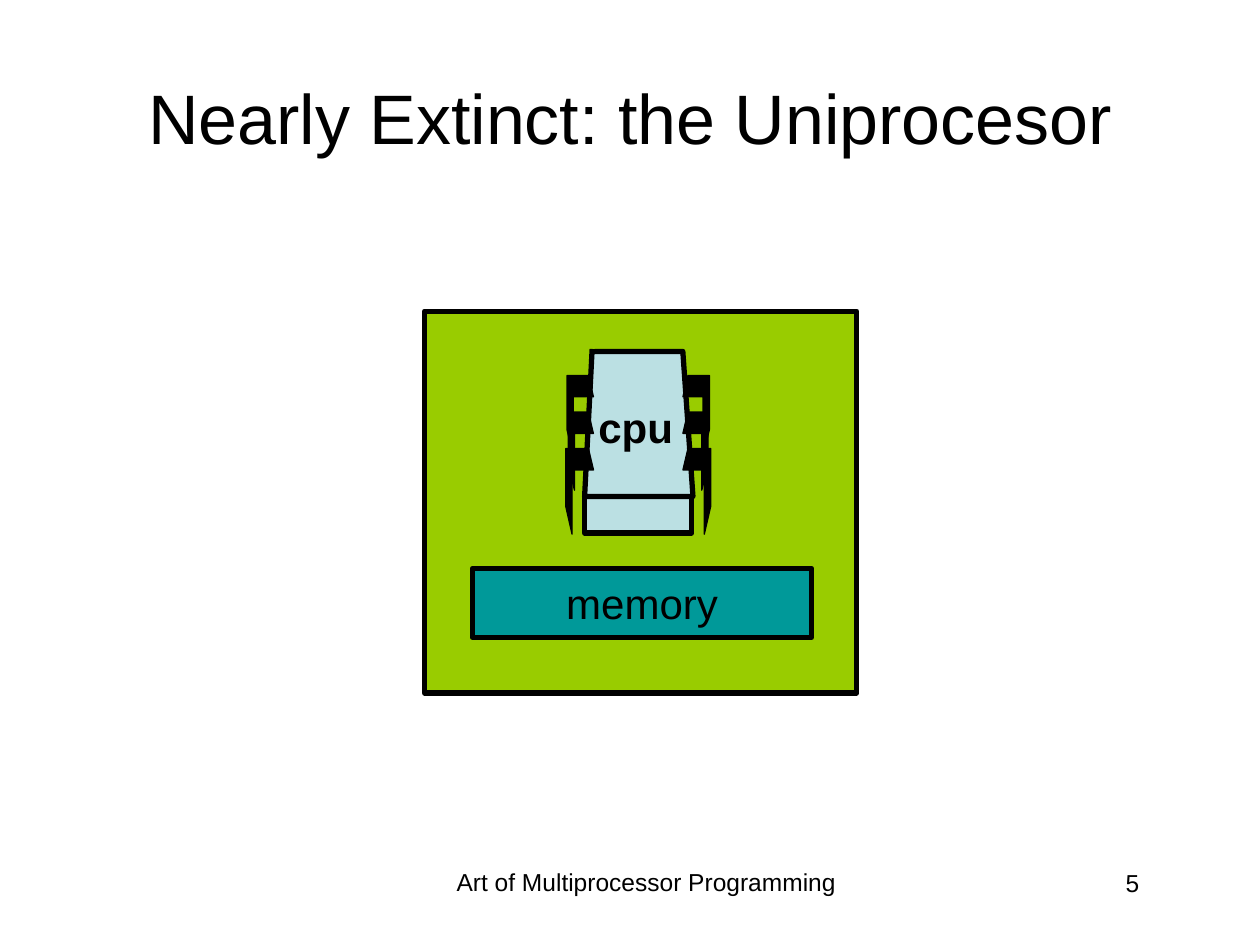
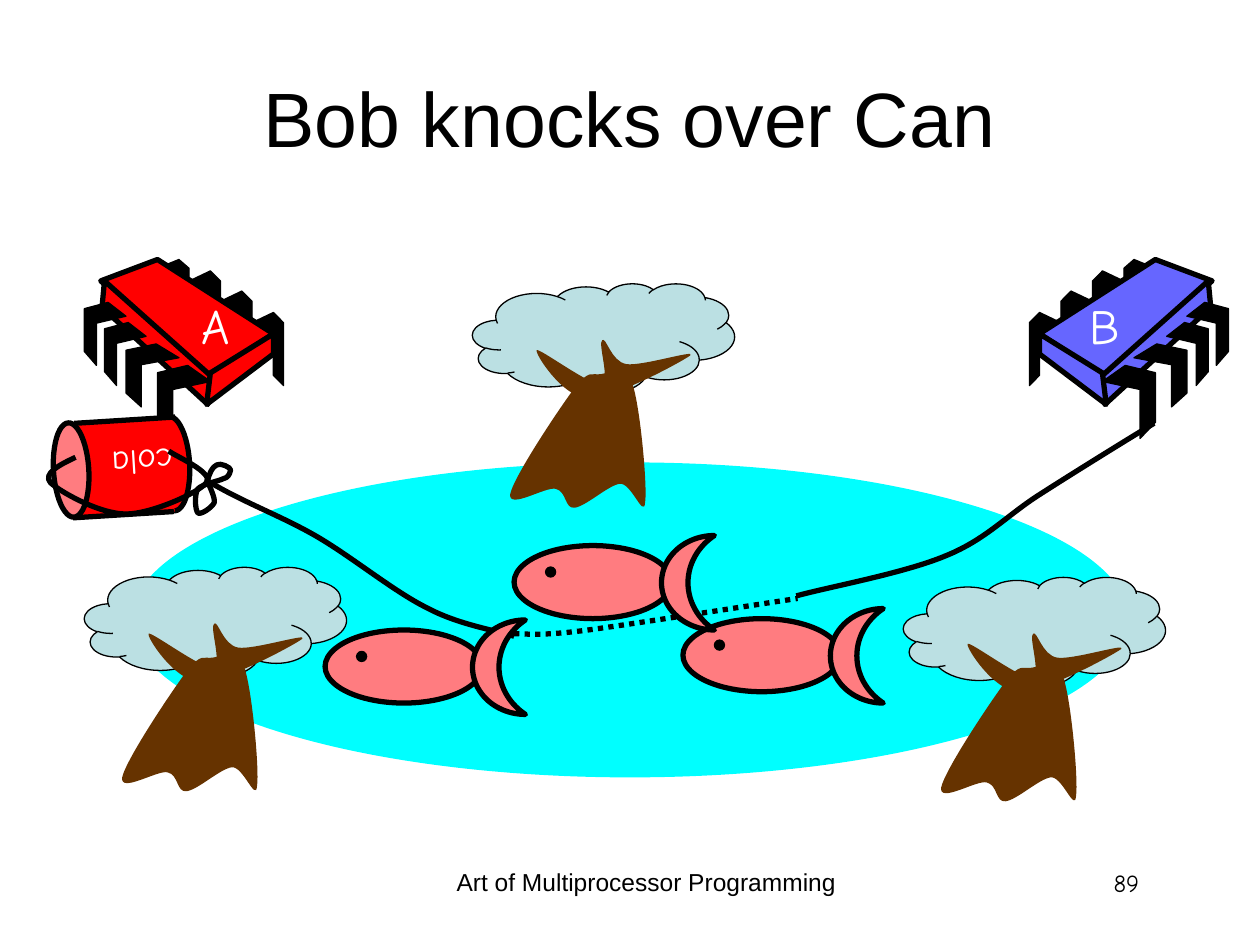
from dataclasses import dataclass

from lxml import etree
from pptx import Presentation
from pptx.dml.color import RGBColor
from pptx.enum.dml import MSO_LINE
from pptx.enum.shapes import MSO_CONNECTOR, MSO_SHAPE
from pptx.enum.text import MSO_ANCHOR, MSO_AUTO_SIZE, PP_ALIGN
from pptx.oxml.ns import qn
from pptx.util import Inches, Pt

RECT, ELLIPSE, MOON = MSO_SHAPE.RECTANGLE, MSO_SHAPE.OVAL, MSO_SHAPE.MOON
CLOUD = MSO_SHAPE.CLOUD_CALLOUT
STRAIGHT = MSO_CONNECTOR.STRAIGHT
DOTTED = MSO_LINE.ROUND_DOT
LEFT, CENTER, RIGHT = PP_ALIGN.LEFT, PP_ALIGN.CENTER, PP_ALIGN.RIGHT
TOP, MIDDLE = MSO_ANCHOR.TOP, MSO_ANCHOR.MIDDLE
FIT_SHAPE, NO_FIT = MSO_AUTO_SIZE.SHAPE_TO_FIT_TEXT, MSO_AUTO_SIZE.NONE
TITLE_ONLY = 5


@dataclass(frozen=True)
class Theme:
    black: str = "000000"
    white: str = "FFFFFF"
    board: str = "99CC00"
    memory: str = "009999"
    pale: str = "BBE0E3"
    red: str = "FF0000"
    blue: str = "6666FF"
    pink: str = "FF7C80"
    water: str = "00FFFF"
    wood: str = "663300"
    font: str = "Arial"
    hand: str = "Comic Neue"
    title: int = 40
    big_title: int = 44
    letter: int = 28
    label: int = 24
    small: int = 20
    footer: int = 14
    thick: float = 3
    thin: float = 0.75


T = Theme()

# Outlines drawn in a unit box
BACK_LEG = [(0, 0.14), (0.68, 0), (1, 0.14), (1, 1), (0.68, 0.86), (0.68, 0.29), (0, 0.43)]
FRONT_LEG = [(0.57, 0), (1, 0.22), (0.29, 0.33), (0.29, 1), (0, 0.78), (0, 0.1)]

# Leg boxes and body faces in inches from the chip's corner
BACK_LEGS = [(1.33, 0.42, 0.25, 0.58), (1.08, 0.25, 0.25, 0.58),
             (0.83, 0.09, 0.25, 0.58), (0.58, 0, 0.25, 0.5)]
FRONT_LEGS = [(0.58, 0.84, 0.42, 0.58), (0.33, 0.67, 0.42, 0.5),
              (0.16, 0.5, 0.33, 0.5), (0, 0.34, 0.33, 0.5)]
CHIP_FACES = [
    [(0.58, 0), (1.5, 0.59), (0.98, 0.93), (0.13, 0.17)],
    [(0.16, 0.17), (1, 0.92), (0.98, 1.15), (0.14, 0.38)],
    [(1.5, 0.59), (1.5, 0.75), (0.97, 1.15), (1, 0.9)],
]

# Curves: a start, then two handles and an end for each piece
TRUNK = [
    (0.81, 0.83), (0.93, 0.68), (0.94, 0.73), (1.02, 0.72),
    (1.09, 0.71), (1.21, 0.63), (1.27, 0.8), (1.33, 0.97), (1.39, 1.61), (1.37, 1.74),
    (1.36, 1.87), (1.26, 1.58), (1.17, 1.59), (1.08, 1.6), (0.9, 1.77), (0.81, 1.78),
    (0.73, 1.79), (0.75, 1.65), (0.66, 1.63), (0.58, 1.61), (0.28, 1.8), (0.3, 1.67),
    (0.33, 1.53), (0.69, 0.99), (0.81, 0.83)]
BRANCHES = [
    (0.51, 0.53), (0.49, 0.55), (0.71, 0.9), (0.91, 0.91),
    (1.12, 0.92), (1.68, 0.61), (1.73, 0.57), (1.78, 0.52), (1.34, 0.66), (1.22, 0.64),
    (1.1, 0.62), (1.06, 0.42), (1.03, 0.45), (0.99, 0.47), (1.1, 0.78), (1.02, 0.8),
    (0.93, 0.81), (0.53, 0.51), (0.51, 0.53)]
KNOT = [
    (1.46, 0.51), (1.46, 0.46), (1.5, 0.39), (1.53, 0.38),
    (1.56, 0.36), (1.64, 0.4), (1.64, 0.42), (1.63, 0.46), (1.62, 0.48), (1.58, 0.49),
    (1.54, 0.51), (1.42, 0.53), (1.38, 0.57), (1.35, 0.62), (1.36, 0.74), (1.38, 0.76),
    (1.4, 0.78), (1.49, 0.72), (1.51, 0.68), (1.52, 0.64), (1.47, 0.55), (1.46, 0.51)]
LOOP = [
    (0.41, 0.32), (0.28, 0.38), (0.15, 0.45), (0.21, 0.52),
    (0.28, 0.59), (0.6, 0.77), (0.81, 0.77), (1.01, 0.77), (1.39, 0.6), (1.45, 0.52),
    (1.51, 0.44), (1.2, 0.31), (1.15, 0.27)]
ROPE_A = [
    (0, 0), (0.27, 0.16), (0.55, 0.26), (0.83, 0.42),
    (1.11, 0.58), (1.45, 0.86), (1.71, 0.99), (1.97, 1.13), (2.26, 1.17), (2.41, 1.22)]
ROPE_B = [
    (2.84, 0), (2.69, 0.09), (2.22, 0.38), (1.94, 0.56),
    (1.67, 0.73), (1.51, 0.92), (1.19, 1.05), (0.86, 1.19), (0.25, 1.3), (0, 1.37)]
ROPE_UNDER_WATER = [
    (0, 0.28), (0.1, 0.28), (0.21, 0.3), (0.59, 0.25), (0.96, 0.2), (1.98, 0.04), (2.25, 0)]


def write(sp, text, size, font=T.font, color=T.black, bold=False, align=LEFT,
          anchor=TOP, wrap=False, fit=NO_FIT):
    tf = sp.text_frame
    tf.word_wrap, tf.auto_size, tf.vertical_anchor = wrap, fit, anchor
    p = tf.paragraphs[0]
    p.alignment = align
    r = p.add_run()
    r.text = text
    r.font.size, r.font.name, r.font.bold = Pt(size), font, bold
    r.font.color.rgb = RGBColor.from_string(color)


def add_text(slide, box, text, size, **style):
    sp = slide.shapes.add_textbox(*map(Inches, box))
    write(sp, text, size, **style)
    return sp


def paint(sp, fill, line, width):
    sp.shadow.inherit = False
    for part, color in ((sp.fill, fill), (sp.line.fill, line)):
        if color:
            part.solid()
            part.fore_color.rgb = RGBColor.from_string(color)
        else:
            part.background()
    if line:
        sp.line.width = Pt(width)


def add_preset(slide, kind, box, fill, line=T.black, width=T.thick, rotation=0):
    sp = slide.shapes.add_shape(kind, *map(Inches, box))
    sp.rotation = rotation
    paint(sp, fill, line, width)
    return sp


def add_outline(slide, x, y, points, fill=None, line=T.black, width=T.thick, close=True):
    """Draw points given in inches from (x, y)."""
    start, *rest = [(Inches(x + px), Inches(y + py)) for px, py in points]
    builder = slide.shapes.build_freeform(*start)
    builder.add_line_segments(rest, close=close)
    sp = builder.convert_to_shape()
    paint(sp, fill, line, width)
    return sp


def add_curve(slide, x, y, points, **style):
    """Draw an outline whose points after the first are read as Bézier triples."""
    sp = add_outline(slide, x, y, points, **style)
    segments = list(sp._element.iter(qn("a:lnTo")))
    for i in range(0, len(segments), 3):
        curve = etree.Element(qn("a:cubicBezTo"))
        segments[i].addprevious(curve)
        for segment in segments[i:i + 3]:
            curve.append(segment[0])
            segment.getparent().remove(segment)
    return sp


def add_line(slide, x1, y1, x2, y2):
    ln = slide.shapes.add_connector(STRAIGHT, *map(Inches, (x1, y1, x2, y2)))
    ln.line.width = Pt(T.thick)
    ln.line.color.rgb = RGBColor.from_string(T.black)
    etree.SubElement(ln._element.spPr, qn("a:effectLst"))
    return ln


def new_slide(prs, title, number, title_size, number_font):
    slide = prs.slides.add_slide(prs.slide_layouts[TITLE_ONLY])
    sp = slide.shapes.title
    sp.left, sp.top, sp.width, sp.height = map(Inches, (0.5, 0.3, 9, 1.25))
    write(sp, title, title_size, align=CENTER, anchor=MIDDLE, wrap=True)
    add_text(slide, (3.42, 6.83, 3.42, 0.52), "Art of Multiprocessor Programming",
             T.footer, align=CENTER, wrap=True)
    add_text(slide, (7.06, 6.84, 2.08, 0.5), number, T.footer, font=number_font,
             align=RIGHT, wrap=True)
    return slide


def draw_cpu(slide, x, y):
    width = 1.15
    parts = [
        add_preset(slide, RECT, (x + 0.15, y + 1.17, 0.85, 0.29), T.pale),
        add_outline(slide, x, y, [(0.23, 0.02), (0.93, 0.02), (1.01, 1.17), (0.15, 1.17),
                                  (0.21, 0)], fill=T.pale, close=False)]
    for top, outer, knee, tip in ((0.79, 0, 0.46, 0.68), (0.5, 0.02, 0.42, 0.62),
                                  (0.21, 0.01, 0.43, 0.64)):
        leg = [(0.18, 0), (outer, 0), (outer, knee), (outer + 0.05, tip),
               (outer + 0.05, 0.17), (0.22, 0.17)]
        for side in (leg, [(width - px, py) for px, py in leg]):
            parts.append(add_outline(slide, x, y + top, side, fill=T.black, width=T.thin))
    slide.shapes.add_group_shape(parts)
    add_text(slide, (x + 0.15, y + 0.37, 0.8, 0.51), "cpu", T.label, bold=True,
             align=RIGHT, fit=FIT_SHAPE)


def draw_board(slide, x, y):
    add_preset(slide, RECT, (x, y, 3.43, 3.03), T.board)
    draw_cpu(slide, x + 1.12, y + 0.3)
    memory = add_preset(slide, RECT, (x + 0.38, y + 2.04, 2.69, 0.55), T.memory)
    write(memory, "memory", T.label, align=CENTER, anchor=MIDDLE)


def draw_chip(slide, x, y, letter, color, flip=False):
    width, label_width = 1.58, 0.49

    def face(points, fill, line_width):
        if flip:
            points = [(width - px, py) for px, py in points]
        return add_outline(slide, x, y, points, fill=fill, width=line_width)

    def legs(boxes, profile):
        return [face([(bx + w * u, by + h * v) for u, v in profile], T.black, T.thin)
                for bx, by, w, h in boxes]

    parts = legs(BACK_LEGS, BACK_LEG)
    parts += [face(points, color, T.thick) for points in CHIP_FACES]
    parts += legs(FRONT_LEGS, FRONT_LEG)
    slide.shapes.add_group_shape(parts)
    left = 0.33 if flip else width - 0.33 - label_width
    add_text(slide, (x + left, y + 0.24, label_width, 0.57), letter, T.letter,
             font=T.hand, color=T.white, align=RIGHT, fit=FIT_SHAPE)


def draw_tree(slide, x, y):
    cloud = add_preset(slide, CLOUD, (x, y, 2.08, 0.87), T.pale, width=T.thin)
    cloud.adjustments[0], cloud.adjustments[1] = 0.02, 0.49
    wood = [add_curve(slide, x, y, points, fill=T.wood, line=None)
            for points in (TRUNK, BRANCHES)]
    slide.shapes.add_group_shape([cloud, *wood])


def draw_can(slide, x, y):
    tilt = 266.5
    parts = [
        add_preset(slide, ELLIPSE, (x + 0.8, y + 0.23, 0.75, 0.28), T.red, rotation=tilt),
        add_preset(slide, RECT, (x + 0.4, y, 0.75, 0.8), T.red, line=None, rotation=tilt),
        add_preset(slide, ELLIPSE, (x, y + 0.28, 0.75, 0.28), T.pink, rotation=tilt),
        add_line(slide, x + 0.39, y + 0.8, x + 1.19, y + 0.75),
        add_line(slide, x + 0.4, y + 0.05, x + 1.2, y)]
    label = add_text(slide, (x + 0.6, y + 0.16, 0.71, 0.43), "cola", T.small,
                     font=T.hand, color=T.white, align=RIGHT, fit=FIT_SHAPE)
    label.rotation = tilt - 90
    slide.shapes.add_group_shape([*parts, label])
    slide.shapes.add_group_shape([add_curve(slide, x, y, KNOT),
                                  add_curve(slide, x, y, LOOP, close=False)])


def draw_fish(slide, x, y):
    slide.shapes.add_group_shape([
        add_preset(slide, ELLIPSE, (x, y + 0.08, 1.25, 0.58), T.pink),
        add_preset(slide, MOON, (x + 1.17, y, 0.42, 0.75), T.pink),
        add_preset(slide, ELLIPSE, (x + 0.25, y + 0.25, 0.08, 0.08), T.black, width=T.thin)])


def uniprocessor_slide(prs):
    slide = new_slide(prs, "Nearly Extinct: the Uniprocesor", "5", T.title, T.font)
    draw_board(slide, 3.37, 2.47)


def pond_slide(prs):
    slide = new_slide(prs, "Bob knocks over Can", "89", T.big_title, T.hand)
    draw_chip(slide, 0.67, 2.06, "A", T.red)
    draw_chip(slide, 8.17, 2.06, "B", T.blue, flip=True)
    add_preset(slide, ELLIPSE, (1.04, 3.67, 7.92, 2.5), T.water, line=None)
    for x, y in ((3.75, 2.25), (7.17, 4.58), (0.67, 4.5)):
        draw_tree(slide, x, y)
    draw_can(slide, 0.19, 3.31)
    add_curve(slide, 1.67, 3.83, ROPE_A, close=False)
    add_curve(slide, 6.32, 3.36, ROPE_B, close=False)
    under = add_curve(slide, 4.08, 4.75, ROPE_UNDER_WATER, close=False)
    under.line.dash_style = DOTTED
    for x, y in ((5.42, 4.83), (4.08, 4.25), (2.58, 4.92)):
        draw_fish(slide, x, y)


def main():
    prs = Presentation()
    prs.slide_width, prs.slide_height = Inches(10), Inches(7.5)
    uniprocessor_slide(prs)
    pond_slide(prs)
    prs.save("out.pptx")


if __name__ == "__main__":
    main()
